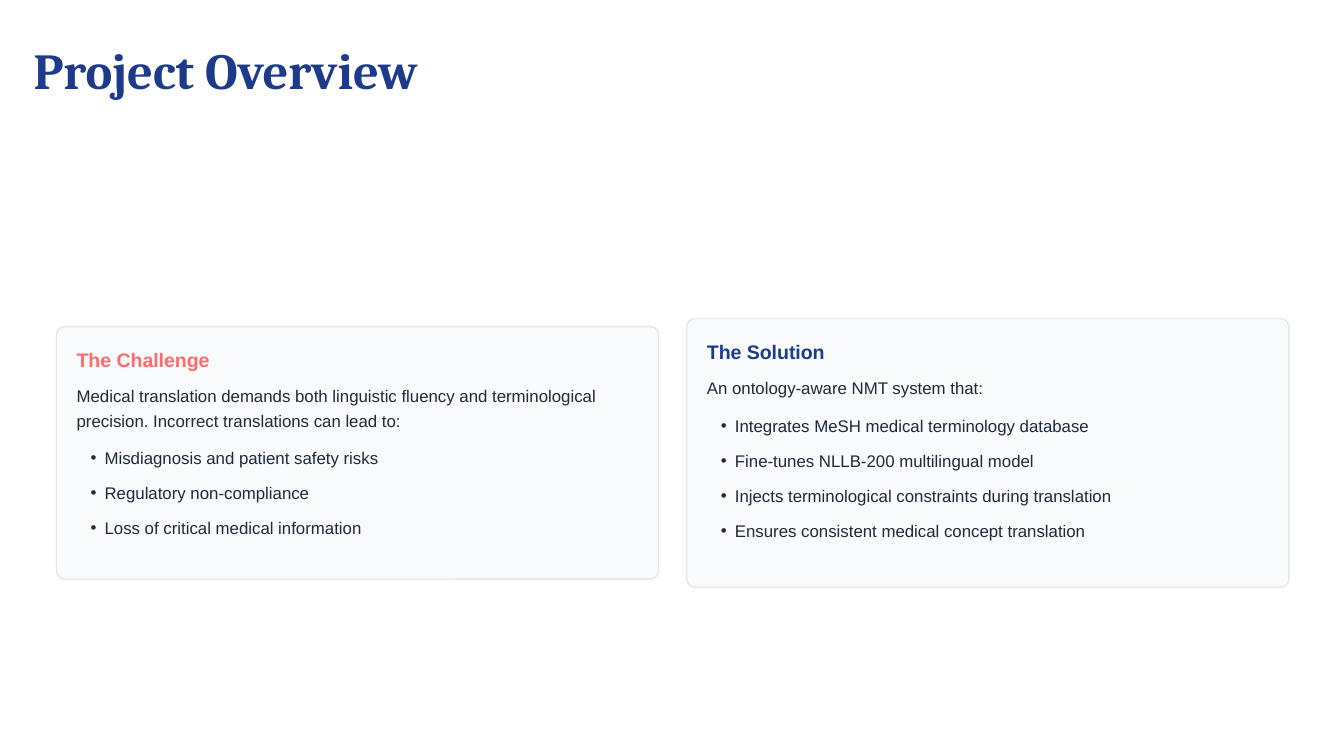
from dataclasses import dataclass
from lxml.etree import SubElement
from pptx import Presentation
from pptx.dml.color import RGBColor
from pptx.enum.shapes import MSO_SHAPE
from pptx.oxml.ns import qn
from pptx.util import Inches, Pt


@dataclass(frozen=True)
class Theme:
    navy: str = "1E3A8A"
    coral: str = "FF6B6B"
    ink: str = "1F2937"
    panel: str = "F9FAFB"
    edge: str = "E5E7EB"
    serif: str = "Cambria"
    sans: str = "Arial"
    title: float = 27
    head: float = 10.5
    body: float = 9
    indent: float = 7.5


class Deck:
    def __init__(self, theme):
        self.theme = theme
        self.prs = Presentation()
        self.prs.slide_width = Inches(10)
        self.prs.slide_height = Inches(10 * 9 / 16)
        self.slide = self.prs.slides.add_slide(self.prs.slide_layouts[6])

    def text(self, box, lines, size, color, lead, after=0,
             font=None, bold=False, bullet=False):
        """Add a text box with one paragraph per line; lead and after in points."""
        frame = self.slide.shapes.add_textbox(*map(Inches, box)).text_frame
        frame.word_wrap = True
        frame.margin_left = Pt(self.theme.indent if bullet else 0)
        frame.margin_right = frame.margin_top = frame.margin_bottom = 0
        for i, line in enumerate(lines):
            para = frame.add_paragraph() if i else frame.paragraphs[0]
            para.line_spacing = Pt(lead)
            para.space_after = Pt(after)
            if bullet:
                self.bullet(para)
            run = para.add_run()
            run.text = line
            run.font.name = font or self.theme.sans
            run.font.size = Pt(size)
            run.font.bold = bold
            run.font.color.rgb = RGBColor.from_string(color)

    def bullet(self, para):
        props = para._p.get_or_add_pPr()
        props.set("marL", str(Pt(self.theme.indent)))
        props.set("indent", str(-Pt(self.theme.indent)))
        SubElement(props, qn("a:buSzPct")).set("val", "100000")
        SubElement(props, qn("a:buFont")).set("typeface", self.theme.sans)
        SubElement(props, qn("a:buChar")).set("char", "•")

    def panel(self, left, top, width, height):
        shape = self.slide.shapes.add_shape(
            MSO_SHAPE.ROUNDED_RECTANGLE,
            *map(Inches, (left, top, width, height)))
        shape.adjustments[0] = 0.06 / height
        shape.shadow.inherit = False
        shape.fill.solid()
        shape.fill.fore_color.rgb = RGBColor.from_string(self.theme.panel)
        shape.line.color.rgb = RGBColor.from_string(self.theme.edge)
        shape.line.width = Pt(0.75)

    def card(self, left, height, head, color, intro, rows, items):
        """Add a panel centred on the card axis; rows is the intro's line count."""
        t = self.theme
        top = 3.37 - height / 2
        self.panel(left, top, 4.48, height)
        x = left + 0.15
        self.text((x, top + 0.16, 4.25, 0.17), [head], t.head, color,
                  12.6, 4.5, bold=True)
        self.text((x, top + 0.4, 4.25, 0.19 * rows), [intro], t.body, t.ink,
                  13.5, 6)
        tall = 0.3 * len(items) - 0.03
        self.text((x, top + height - 0.16 - tall, 4.17, tall), items,
                  t.body, t.ink, 14.4, 4.5, bullet=True)


def main():
    theme = Theme()
    deck = Deck(theme)
    deck.text((0.25, 0.29, 4.9, 0.45), ["Project Overview"], theme.title,
              theme.navy, 32.4, font=theme.serif, bold=True)
    cards = [
        (1.88, "The Challenge", theme.coral,
         "Medical translation demands both linguistic fluency and "
         "terminological precision. Incorrect translations can lead to:", 2,
         ["Misdiagnosis and patient safety risks",
          "Regulatory non-compliance",
          "Loss of critical medical information"]),
        (2, "The Solution", theme.navy,
         "An ontology-aware NMT system that:", 1,
         ["Integrates MeSH medical terminology database",
          "Fine-tunes NLLB-200 multilingual model",
          "Injects terminological constraints during translation",
          "Ensures consistent medical concept translation"]),
    ]
    for i, card in enumerate(cards):
        deck.card(0.42 + 4.69 * i, *card)
    deck.prs.save("out.pptx")


if __name__ == "__main__":
    main()
